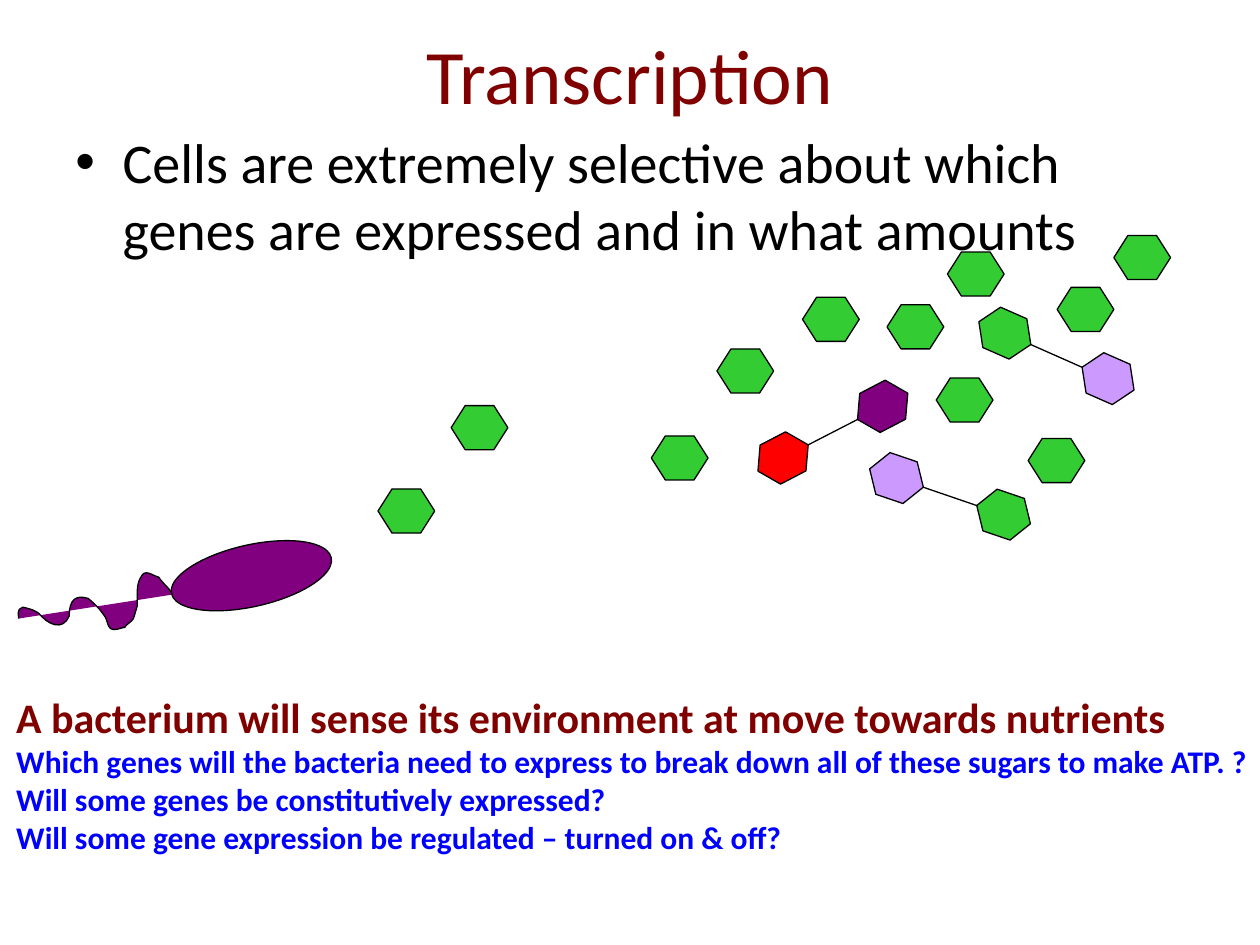
from math import cos, radians, sin

from lxml import etree
from pptx import Presentation
from pptx.dml.color import RGBColor
from pptx.enum.shapes import MSO_CONNECTOR, MSO_SHAPE
from pptx.enum.text import MSO_ANCHOR, MSO_AUTO_SIZE, PP_ALIGN
from pptx.oxml.ns import qn
from pptx.util import Pt

HEX, OVAL = MSO_SHAPE.HEXAGON, MSO_SHAPE.OVAL
LINE = MSO_CONNECTOR.STRAIGHT
MID, TOP = MSO_ANCHOR.MIDDLE, MSO_ANCHOR.TOP
LEFT, MIDDLE = PP_ALIGN.LEFT, PP_ALIGN.CENTER
GROW, FIXED = MSO_AUTO_SIZE.SHAPE_TO_FIT_TEXT, MSO_AUTO_SIZE.NONE

# Content
TITLE = "Transcription"
POINT = ("Cells are extremely selective about which genes "
         "are expressed and in what amounts")
NOTES = [
    ("A bacterium will sense its environment at move towards nutrients", "lead"),
    ("Which genes will the bacteria need to express to break down all of "
     "these sugars to make ATP. ?", "ask"),
    ("Will some genes be constitutively expressed?", "ask"),
    ("Will some gene expression be regulated – turned on & off?", "ask"),
]

# Single sugars: left, top
SUGARS = [
    (535, 216), (636.5, 134.6), (604.1, 164.2), (506.9, 174.2),
    (587.5, 250.6), (409.7, 199.4), (458.6, 169.9), (372.2, 249.1),
    (216, 279.4), (257.8, 231.8), (541.4, 144),
]
# Double sugars: turn, then left, top and colour of the left and right ring
PAIRS = [
    (18.8, (496.1, 260.6, "lilac"), (557.3, 281.5, "green")),
    (23.7, (558, 177.8, "green"), (617, 203.8, "lilac")),
    (-27.6, (431.3, 249.1, "red"), (488.2, 219.6, "purple")),
]
# Bacterium: body box and turn, then the tail as Bezier curves
BODY = (126, 282.2, 35.3, 93.6)
TILT = 77.3
START = (98.6, 339.8)
TAIL = [
    ((96.5, 335.5), (93.6, 334.1), (90.7, 329.8)),
    ((87.1, 329), (82.8, 324.7), (80.6, 329.8)),
    ((79.2, 331.9), (78.5, 334.8), (78.5, 338.4)),
    ((78.5, 340.6), (78.5, 346.3), (78.5, 346.3)),
    ((77.8, 348.5), (77, 351.4), (76.3, 353.5)),
    ((74.9, 355.7), (72.7, 356.4), (71.3, 358.6)),
    ((69.1, 358.6), (66.2, 360.7), (63.4, 359.3)),
    ((61.2, 357.8), (61.2, 353.5), (59.8, 352.1)),
    ((56.9, 347.8), (54, 344.9), (50.4, 342)),
    ((43.2, 339.8), (39.6, 342.7), (39.6, 352.1)),
    ((36, 360.7), (27.4, 357.1), (22.3, 350.6)),
    ((19.4, 348.5), (16.6, 347.8), (13, 347)),
    ((12.2, 347.8), (10.8, 347.8), (10.8, 349.2)),
    ((10.1, 349.9), (10.8, 353.5), (10.8, 353.5)),
]

# Theme
THEME = {
    "font": "Calibri",
    "line": 0.75,
    "colour": {"black": "000000", "maroon": "800000", "blue": "0000FF",
               "green": "33CC33", "lilac": "CC99FF", "red": "FF0000",
               "purple": "800080"},
    "type": {"title": (44, "maroon", False), "point": (32, "black", False),
             "lead": (24, "maroon", True), "ask": (18, "blue", True)},
}
WIDE, HIGH, SLANT = 32.4, 25.2, 0.318
STEPS = 8


def tint(name):
    return RGBColor.from_string(THEME["colour"][name])


def put(item, values):
    for key, value in values.items():
        setattr(item, key, value)


def place(item, box):
    put(item, dict(zip(("left", "top", "width", "height"), map(Pt, box))))


def style(para, kind):
    size, hue, bold = THEME["type"][kind]
    put(para.font, {"name": THEME["font"], "size": Pt(size), "bold": bold})
    para.font.color.rgb = tint(hue)


def paint(shape, hue):
    shape.shadow.inherit = False
    shape.fill.solid()
    shape.fill.fore_color.rgb = tint(hue)
    ink(shape)


def ink(item):
    item.line.color.rgb = tint("black")
    item.line.width = Pt(THEME["line"])


def ring(shapes, left, top, hue="green", turn=0):
    shape = shapes.add_shape(HEX, *map(Pt, (left, top, WIDE, HIGH)))
    shape.adjustments[0] = SLANT
    shape.rotation = turn
    paint(shape, hue)


def bond(shapes, turn, first, last):
    # Joins the facing corners of two rings
    dx, dy = (WIDE / 2 * f(radians(turn)) for f in (cos, sin))
    ends = [(x + WIDE / 2 + side * dx, y + HIGH / 2 + side * dy)
            for (x, y, _), side in ((first, 1), (last, -1))]
    line = shapes.add_connector(LINE, *map(Pt, ends[0] + ends[1]))
    ink(line)
    etree.SubElement(line._element.spPr, qn("a:effectLst"))


def trace(start, curves):
    for one, two, end in curves:
        for step in range(1, STEPS + 1):
            t = step / STEPS
            u = 1 - t
            yield tuple(
                Pt(u**3 * a + 3 * u * u * t * b + 3 * u * t * t * c + t**3 * d)
                for a, b, c, d in zip(start, one, two, end))
        start = end


deck = Presentation()
put(deck, {"slide_width": Pt(720), "slide_height": Pt(540)})
slide = deck.slides.add_slide(deck.slide_layouts[5])
shapes = slide.shapes

# Title
head = shapes.title
place(head, (36, -2.9, 648, 90))
head.text_frame.text = TITLE
put(head.text_frame, {"vertical_anchor": MID, "word_wrap": True,
                      "auto_size": FIXED})
head.text_frame.paragraphs[0].alignment = MIDDLE
style(head.text_frame.paragraphs[0], "title")

# Bullet point
frame = shapes.add_textbox(*map(Pt, (36, 69.1, 648, 105.1))).text_frame
put(frame, {"text": POINT, "word_wrap": True, "vertical_anchor": TOP})
para = frame.paragraphs[0]
prop = para._p.get_or_add_pPr()
prop.set("marL", str(Pt(27)))
prop.set("indent", str(Pt(-27)))
etree.SubElement(prop, qn("a:buFont")).set("typeface", "Arial")
etree.SubElement(prop, qn("a:buChar")).set("char", "•")
style(para, "point")

# Bacterium
cell = shapes.add_group_shape().shapes
body = cell.add_shape(OVAL, *map(Pt, BODY))
body.rotation = TILT
paint(body, "purple")
pen = cell.build_freeform(*map(Pt, START))
pen.add_line_segments(list(trace(START, TAIL)), close=False)
paint(pen.convert_to_shape(), "purple")

# Sugars
for left, top in SUGARS:
    ring(shapes, left, top)
for turn, first, last in PAIRS:
    group = shapes.add_group_shape().shapes
    bond(group, turn, first, last)
    for part in (first, last):
        ring(group, *part, turn)

# Notes
frame = shapes.add_textbox(*map(Pt, (2.2, 391.7, 727.2, 101.5))).text_frame
put(frame, {"word_wrap": False, "auto_size": GROW,
            "text": "\n".join(text for text, _ in NOTES)})
for para, (_, kind) in zip(frame.paragraphs, NOTES):
    para.alignment = LEFT
    style(para, kind)

deck.save("out.pptx")
